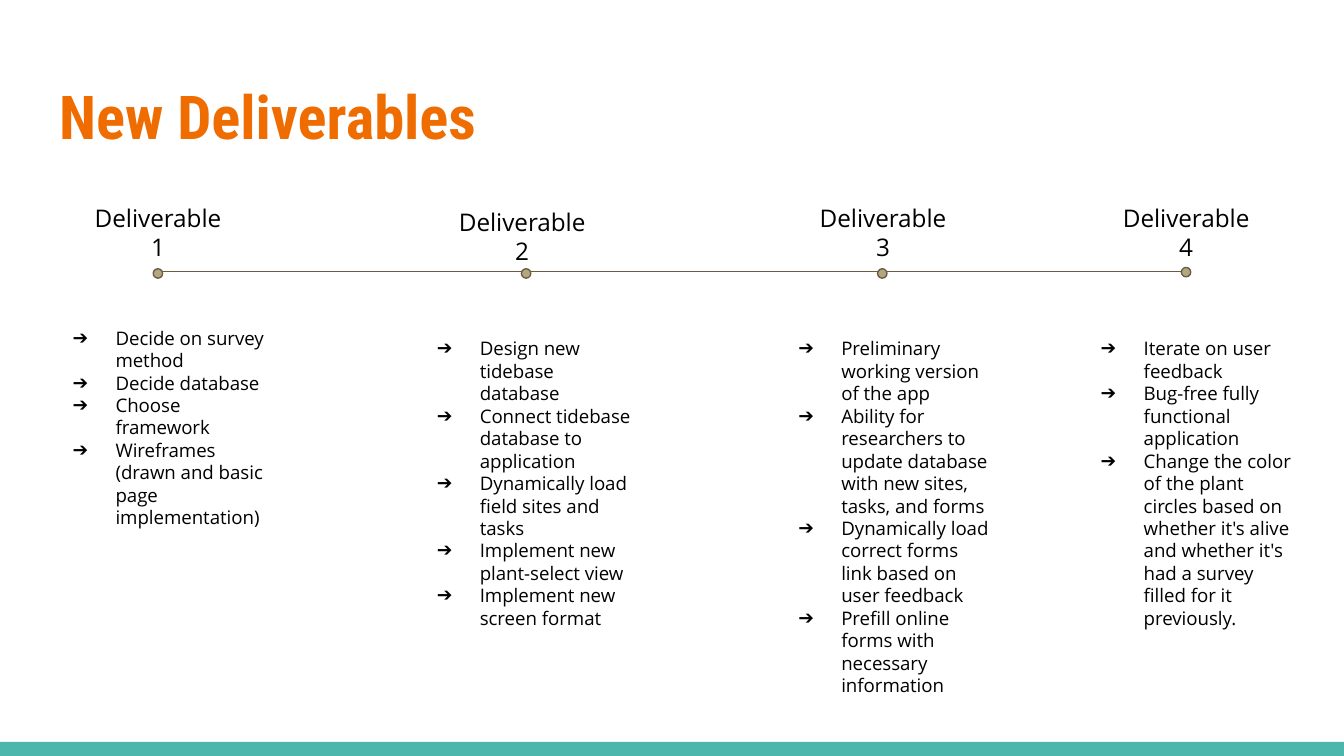
from dataclasses import dataclass

from lxml import etree
from pptx import Presentation
from pptx.dml.color import RGBColor
from pptx.enum.shapes import MSO_CONNECTOR, MSO_SHAPE
from pptx.enum.text import MSO_ANCHOR, MSO_AUTO_SIZE, PP_ALIGN
from pptx.oxml.ns import qn
from pptx.util import Inches, Pt

STRAIGHT = MSO_CONNECTOR.STRAIGHT
RECTANGLE, OVAL = MSO_SHAPE.RECTANGLE, MSO_SHAPE.OVAL
TOP = MSO_ANCHOR.TOP
FIXED_SIZE, GROW = MSO_AUTO_SIZE.NONE, MSO_AUTO_SIZE.SHAPE_TO_FIT_TEXT
LEFT, CENTER = PP_ALIGN.LEFT, PP_ALIGN.CENTER
COMPARISON_LAYOUT = 4  # a title and four body placeholders
SLIDE_WIDTH = 10
SLIDE_HEIGHT = SLIDE_WIDTH * 9 / 16


@dataclass(frozen=True)
class Theme:
    title_color: RGBColor = RGBColor(0xEF, 0x6C, 0x00)
    text_color: RGBColor = RGBColor(0, 0, 0)
    bar_color: RGBColor = RGBColor(0x4D, 0xB6, 0xAC)
    dot_color: RGBColor = RGBColor(0xB3, 0xA7, 0x7D)
    line_color: RGBColor = RGBColor(0x69, 0x5D, 0x46)
    title_font: str = "Roboto Condensed"
    body_font: str = "Open Sans"
    title_size: float = 32.4
    heading_size: float = 13
    list_size: float = 10
    line_width: float = 0.75


THEME = Theme()
DOT_SIZE = 0.07
LINE_Y = 2.02


@dataclass(frozen=True)
class Deliverable:
    heading_box: tuple
    dot: tuple  # left, top
    list_box: tuple
    items: tuple


DELIVERABLES = (
    Deliverable((0.55, 1.41, 1.25, 0.64), (1.14, 2), (0.26, 2.33, 1.83, 1.72), (
        "Decide on survey method",
        "Decide database",
        "Choose framework",
        "Wireframes (drawn and basic page implementation)",
    )),
    Deliverable((3.26, 1.44, 1.25, 0.64), (3.88, 2), (2.97, 2.41, 1.83, 2.39), (
        "Design new tidebase database",
        "Connect tidebase database to application",
        "Dynamically load field sites and tasks",
        "Implement new plant-select view",
        "Implement new screen format",
    )),
    Deliverable((5.97, 1.41, 1.2, 0.64), (6.53, 2), (5.66, 2.41, 1.83, 2.9), (
        "Preliminary working version of the app",
        "Ability for researchers to update database with new sites, tasks, and forms",
        "Dynamically load correct forms link based on user feedback",
        "Prefill online forms with necessary information",
    )),
    Deliverable((8.2, 1.41, 1.25, 0.64), (8.79, 1.99), (7.91, 2.41, 1.83, 2.39), (
        "Iterate on user feedback",
        "Bug-free fully functional application",
        "Change the color of the plant circles based on whether it's alive "
        "and whether it's had a survey filled for it previously.",
    )),
)


def place(shape, box):
    shape.left, shape.top, shape.width, shape.height = map(Inches, box)


def set_frame(text_frame, auto_size):
    text_frame.word_wrap = True
    text_frame.auto_size = auto_size
    text_frame.vertical_anchor = TOP
    text_frame.margin_left = text_frame.margin_right = Inches(0.1)
    text_frame.margin_top = text_frame.margin_bottom = Inches(0.1)


def format_paragraph(paragraph, font_name, size, color, alignment, bold=False):
    paragraph.alignment = alignment
    paragraph.space_before = Pt(0)
    for run in paragraph.runs:
        run.font.name = font_name
        run.font.size = Pt(size)
        run.font.color.rgb = color
        run.font.bold = bold


def add_bullet(paragraph):
    properties = paragraph._p.get_or_add_pPr()
    properties.set("marL", str(Inches(0.5)))
    properties.set("indent", str(Inches(-0.32)))
    bullet_color = etree.SubElement(properties, qn("a:buClr"))
    etree.SubElement(bullet_color, qn("a:srgbClr"), val=str(THEME.text_color))
    etree.SubElement(properties, qn("a:buChar"), char="➔")


def add_title(slide, text):
    title = slide.shapes.title
    place(title, (0.34, 0.49, 9.32, 0.77))
    set_frame(title.text_frame, FIXED_SIZE)
    title.text_frame.text = text
    format_paragraph(title.text_frame.paragraphs[0], THEME.title_font,
                     THEME.title_size, THEME.title_color, LEFT, bold=True)


def add_solid_shape(slide, kind, box, fill, line=None):
    shape = slide.shapes.add_shape(kind, *map(Inches, box))
    shape.shadow.inherit = False
    shape.fill.solid()
    shape.fill.fore_color.rgb = fill
    if line is None:
        shape.line.fill.background()
    else:
        shape.line.color.rgb = line
        shape.line.width = Pt(THEME.line_width)


def add_timeline(slide):
    start, end = (DELIVERABLES[i].dot[0] + DOT_SIZE / 2 for i in (0, -1))
    line = slide.shapes.add_connector(STRAIGHT, Inches(start), Inches(LINE_Y),
                                      Inches(end), Inches(LINE_Y))
    line.line.color.rgb = THEME.line_color
    line.line.width = Pt(THEME.line_width)
    etree.SubElement(line._element.spPr, qn("a:effectLst"))
    for deliverable in DELIVERABLES:
        add_solid_shape(slide, OVAL, (*deliverable.dot, DOT_SIZE, DOT_SIZE),
                        THEME.dot_color, THEME.line_color)


def add_heading(slide, box, text):
    text_frame = slide.shapes.add_textbox(*map(Inches, box)).text_frame
    set_frame(text_frame, GROW)
    text_frame.text = text
    format_paragraph(text_frame.paragraphs[0], THEME.body_font,
                     THEME.heading_size, THEME.text_color, CENTER)


def fill_list(placeholder, box, items):
    place(placeholder, box)
    text_frame = placeholder.text_frame
    set_frame(text_frame, GROW)
    text_frame.text = "\n".join(items)
    for paragraph in text_frame.paragraphs:
        add_bullet(paragraph)
        format_paragraph(paragraph, THEME.body_font, THEME.list_size,
                         THEME.text_color, LEFT)


def main():
    presentation = Presentation()
    presentation.slide_width = Inches(SLIDE_WIDTH)
    presentation.slide_height = Inches(SLIDE_HEIGHT)
    slide = presentation.slides.add_slide(presentation.slide_layouts[COMPARISON_LAYOUT])
    bodies = [shape for shape in slide.placeholders if shape.placeholder_format.idx > 0]

    # Bottom bar and title
    add_solid_shape(slide, RECTANGLE, (0, 5.52, SLIDE_WIDTH, 0.11), THEME.bar_color)
    add_title(slide, "New Deliverables")

    # Timeline with a heading and a list for each deliverable
    add_timeline(slide)
    for number, (deliverable, body) in enumerate(zip(DELIVERABLES, bodies), start=1):
        add_heading(slide, deliverable.heading_box, f"Deliverable {number}")
        fill_list(body, deliverable.list_box, deliverable.items)

    presentation.save("out.pptx")


if __name__ == "__main__":
    main()
